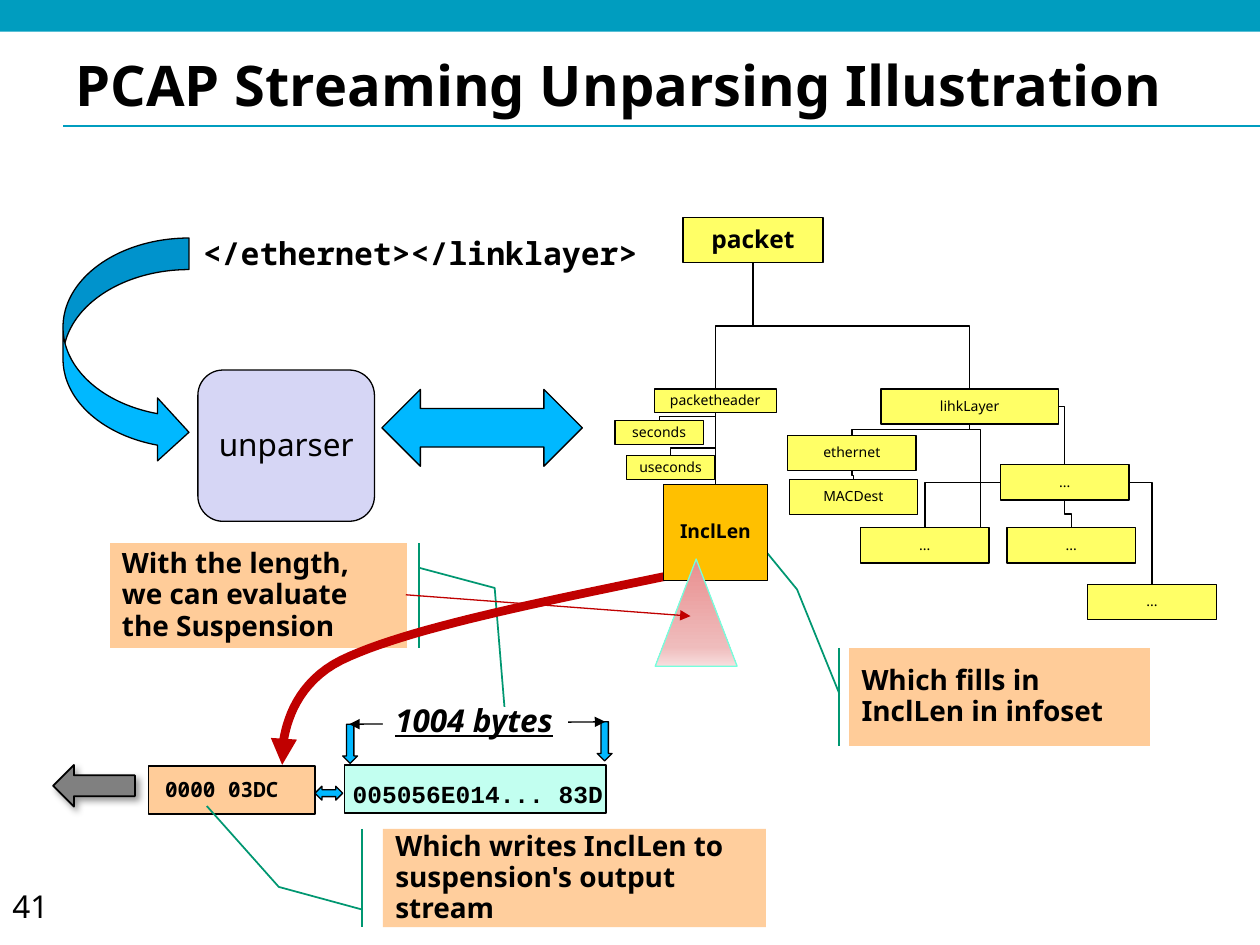
import copy

import pptx
import pptx.dml.color
import pptx.enum.shapes
import pptx.enum.text
import pptx.oxml.ns
import pptx.util
from lxml import etree

Cm = pptx.util.Cm
Pt = pptx.util.Pt
RGBColor = pptx.dml.color.RGBColor
MSO = pptx.enum.shapes.MSO_SHAPE
LINK = pptx.enum.shapes.MSO_CONNECTOR
ANCHOR = pptx.enum.text.MSO_ANCHOR
ALIGN = pptx.enum.text.PP_ALIGN
qn = pptx.oxml.ns.qn

TEAL = RGBColor(0x00, 0x9D, 0xBF)
BLACK = RGBColor(0, 0, 0)
WHITE = RGBColor(0xFF, 0xFF, 0xFF)
PEACH = RGBColor(0xFF, 0xCC, 0x99)
GRAY = RGBColor(0x80, 0x80, 0x80)
BLUE = RGBColor(0x00, 0xB8, 0xFF)
MINT = RGBColor(0xC2, 0xFF, 0xF0)
GREEN = RGBColor(0x00, 0x97, 0x71)
RED = RGBColor(0xC0, 0, 0)
AMBER = RGBColor(0xFF, 0xC0, 0)
YELLOW = RGBColor(0xFF, 0xFF, 0x66)
LAVENDER = RGBColor(0xD6, 0xD6, 0xF5)
AQUA = RGBColor(0x75, 0xFF, 0xDD)
PINKS = [(0, RGBColor(0xE9, 0x8F, 0x8F)), (0.82, RGBColor(0xEF, 0xBC, 0xBC)),
         (1, RGBColor(0xF7, 0xDE, 0xDE))]


def add_shape(s, kind, x, y, w, h, fill=None, line=BLACK, width=0.75):
    sp = s.shapes.add_shape(kind, Cm(x), Cm(y), Cm(w), Cm(h))
    sp.shadow.inherit = False
    if fill is not None:
        sp.fill.solid()
        sp.fill.fore_color.rgb = fill
    if line is None:
        sp.line.fill.background()
    else:
        sp.line.color.rgb = line
        sp.line.width = Pt(width)
    return sp


def write(sp, text, size, font="Noto Sans", bold=True, align=ALIGN.LEFT,
          anchor=ANCHOR.MIDDLE, spacing=0.93, wrap=True):
    tf = sp.text_frame
    tf.word_wrap = wrap
    tf.vertical_anchor = anchor
    if align == ALIGN.CENTER:
        tf.margin_left = tf.margin_right = 0
    p = tf.paragraphs[0]
    p.text = text
    p.alignment = align
    p.line_spacing = spacing
    p.font.name = font
    p.font.size = Pt(size)
    p.font.bold = bold
    p.font.color.rgb = BLACK
    return p


def add_text(s, x, y, w, h, text, size, **style):
    sp = s.shapes.add_textbox(Cm(x), Cm(y), Cm(w), Cm(h))
    return write(sp, text, size, **{"anchor": ANCHOR.TOP, **style})


def add_arrowheads(line, *ends):
    ln = line.line._get_or_add_ln()
    for end in ends:
        etree.SubElement(ln, qn(f"a:{end}"), type="triangle")


def add_line(s, start, end, color=BLACK, kind=LINK.STRAIGHT, heads=()):
    c = s.shapes.add_connector(kind, *map(Cm, start + end))
    c.line.color.rgb = color
    c.line.width = Pt(0.75)
    add_arrowheads(c, *heads)
    etree.SubElement(c._element.spPr, qn("a:effectLst"))
    return c


def drop_line(s, start, end, bend=0.5):
    c = add_line(s, start, end, kind=LINK.ELBOW)
    (x1, y1), (x2, y2) = start, end
    w, h = y2 - y1, abs(x2 - x1)
    c.left, c.top = Cm((x1 + x2 - w) / 2), Cm((y1 + y2 - h) / 2)
    c.width, c.height = Cm(w), Cm(h)
    rightward = x2 > x1
    xfrm = c._element.spPr.find(qn("a:xfrm"))
    xfrm.set("rot", str((270 if rightward else 90) * 60000))
    xfrm.set("flipH", str(int(rightward)))
    guides = c._element.spPr.find(qn("a:prstGeom")).get_or_add_avLst()
    etree.SubElement(guides, qn("a:gd"), name="adj1", fmla=f"val {round(bend * 100000)}")


def corner_line(s, start, end):
    c = add_line(s, start, end, kind=LINK.ELBOW)
    c._element.spPr.find(qn("a:prstGeom")).set("prst", "bentConnector2")


def header(s, x, y, w):
    add_line(s, (x + 1.27, y + 2.54), (x + w, y + 2.54), TEAL)
    add_shape(s, MSO.RECTANGLE, x, y, w, 0.64, TEAL, None)
    add_text(s, x + 1.27, y + 0.97, 22.86, 1.55, "PCAP Streaming Unparsing Illustration",
             32, anchor=ANCHOR.MIDDLE, spacing=0.98)


def output_stream(s, x, y):
    add_shape(s, MSO.RECTANGLE, x + 1.93, y + 1.37, 3.35, 0.97, PEACH)
    sp = add_shape(s, MSO.RIGHT_ARROW, x, y + 1.35, 1.65, 0.84, GRAY, width=1)
    sp.rotation = 180
    shadow = etree.SubElement(sp._element.spPr.find(qn("a:effectLst")), qn("a:outerShdw"),
                              blurRad="50800", dist="38100", dir="2700000", rotWithShape="0")
    color = etree.SubElement(shadow, qn("a:srgbClr"), val="000000")
    etree.SubElement(color, qn("a:alpha"), val="40000")
    add_shape(s, MSO.RECTANGLE, x + 5.87, y + 1.35, 5.28, 0.97, MINT)
    add_shape(s, MSO.LEFT_RIGHT_ARROW, x + 5.28, y + 1.78, 0.56, 0.28, BLUE)
    add_text(s, x + 2.01, y + 1.5, 2.82, 0.74, "0000 03DC", 12, font="Noto Sans Mono")
    for dx, dy in ((5.84, 0.53), (10.97, 0.48)):
        add_shape(s, MSO.DOWN_ARROW, x + dx, y + dy, 0.3, 0.79, BLUE)
    add_line(s, (x + 5.97, y + 0.53), (x + 11.13, y + 0.48), heads=("headEnd", "tailEnd"))
    sp = add_shape(s, MSO.RECTANGLE, x + 6.65, y, 3.73, 0.97, WHITE, None)
    p = write(sp, "1004 bytes", 18, anchor=ANCHOR.TOP, wrap=False)
    p.font.italic = p.font.underline = True
    add_text(s, x + 5.79, y + 1.57, 6.3, 0.81, "005056E014... 83D", 14, font="Courier New")


def callout(s, x, y, w, h, text, adjustments, flip=False, alpha=None):
    sp = add_shape(s, MSO.LINE_CALLOUT_2_ACCENT_BAR, x, y, w, h, PEACH, GREEN, 1)
    for i, value in enumerate(adjustments):
        sp.adjustments[i] = value
    if flip:
        sp._element.spPr.find(qn("a:xfrm")).set("flipH", "1")
    if alpha:
        color = sp._element.spPr.find(qn("a:solidFill"))[0]
        etree.SubElement(color, qn("a:alpha"), val=str(alpha * 1000))
    write(sp, text, 16)


def suspension_curve(s, x, y):
    curves = [((7.92, 0), (5.21, 0.56), (2.51, 1.09), (1.19, 1.73)),
              ((1.19, 1.73), (-0.13, 2.39), (0, 3.84), (0, 3.84))]
    steps = 24
    points = []
    for curve in curves:
        for i in range(1, steps + 1):
            t = i / steps
            weights = ((1 - t) ** 3, 3 * t * (1 - t) ** 2, 3 * t * t * (1 - t), t ** 3)
            px, py = (sum(k * v for k, v in zip(weights, axis)) for axis in zip(*curve))
            points.append((Cm(x + px), Cm(y + py)))
    fb = s.shapes.build_freeform(Cm(x + 7.92), Cm(y))
    fb.add_line_segments(points, close=False)
    sp = fb.convert_to_shape()
    sp.shadow.inherit = False
    sp.fill.background()
    sp.line.color.rgb = RED
    sp.line.width = Pt(5)
    add_arrowheads(sp, "tailEnd")


def infoset_tree(s, x, y):
    small = (2.59, 0.71)
    nodes = {
        "packet": ("packet", 1.37, 0, 2.82, 0.91),
        "header": ("packetheader", 0.79, 3.45, 2.46, 0.48),
        "seconds": ("seconds", 0, 4.09, 1.78, 0.48),
        "useconds": ("useconds", 0.23, 4.8, 1.78, 0.48),
        "length": ("InclLen", 0.97, 5.38, 2.11, 1.93),
        "link": ("lihkLayer", 5.36, 3.45, 3.58, 0.71),
        "ethernet": ("ethernet", 3.48, 4.39, *small),
        "dest": ("MACDest", 3.51, 5.28, *small),
        "left": ("...", 4.95, 6.25, *small),
        "middle": ("...", 7.9, 6.25, *small),
        "right": ("...", 9.53, 7.39, *small),
        "upper": ("...", 7.77, 4.98, *small),
    }
    styles = {"packet": (YELLOW, 14, True), "length": (AMBER, 11, True)}
    for name, (text, dx, dy, w, h) in nodes.items():
        fill, size, bold = styles.get(name, (YELLOW, 8, False))
        sp = add_shape(s, MSO.RECTANGLE, x + dx, y + dy, w, h, fill)
        write(sp, text, size, bold=bold, align=ALIGN.CENTER)

    def at(name, across, down):
        _, dx, dy, w, h = nodes[name]
        return x + dx + w * across, y + dy + h * down

    for parent, child, bend in (("packet", "header", 0.5), ("packet", "link", 0.5),
                                ("header", "seconds", 0.5), ("header", "useconds", 0.82),
                                ("header", "length", 0.5), ("link", "ethernet", 0.5),
                                ("ethernet", "dest", 0.5), ("upper", "middle", 0.5)):
        drop_line(s, at(parent, 0.5, 1), at(child, 0.5, 0), bend)
    drop_line(s, at("link", 0.5, 1), at("left", 0.93, 0), 0.05)
    for parent, side, child in (("link", 1, "upper"), ("upper", 0, "left"), ("upper", 1, "right")):
        corner_line(s, at(parent, side, 0.5), at(child, 0.5, 0))

    sp = add_shape(s, MSO.ISOSCELES_TRIANGLE, x + 0.81, y + 6.88, 1.65, 2.16, line=AQUA)
    sp.fill.gradient()
    sp.fill.gradient_angle = 270
    stops = sp._element.spPr.find(".//" + qn("a:gsLst"))
    stops.append(copy.deepcopy(stops[0]))
    for stop, (position, color) in zip(sp.fill.gradient_stops, PINKS):
        stop.position = position
        stop.color.rgb = color


def unparser(s, x, y):
    add_shape(s, MSO.CURVED_RIGHT_ARROW, x, y + 0.13, 2.54, 4.55, BLUE)
    add_text(s, x + 2.57, y, 9.32, 0.97, "</ethernet></linklayer>", 18,
             font="Noto Sans Mono", wrap=False)
    sp = add_shape(s, MSO.ROUNDED_RECTANGLE, x + 2.72, y + 2.79, 3.56, 3.05, LAVENDER)
    write(sp, "unparser", 18, bold=False, align=ALIGN.CENTER)
    add_shape(s, MSO.LEFT_RIGHT_ARROW, x + 6.43, y + 3.18, 4.04, 1.55, BLUE)


def main():
    prs = pptx.Presentation()
    prs.slide_width, prs.slide_height = Cm(25.4), Cm(19.05)
    s = prs.slides.add_slide(prs.slide_layouts[6])
    header(s, 0, 0, 25.4)
    add_text(s, 0, 17.75, 1.55, 1.02, "41", 18, bold=False, spacing=1)
    output_stream(s, 1.07, 14.07)
    callout(s, 2.21, 10.95, 5.99, 2.11, "With the length, we can evaluate the Suspension",
            (0.236, 1.042, 0.428, 1.296, 1.564, 1.329))
    callout(s, 17.12, 13.06, 6.07, 1.98, "Which fills in InclLen in infoset",
            (0.465, 1.033, -0.594, 1.173, -1.658, 1.457), flip=True)
    suspension_curve(s, 5.69, 11.58)
    callout(s, 7.72, 16.71, 7.72, 1.98, "Which writes InclLen to suspension's output stream",
            (0.822, -0.054, 0.591, -0.272, -0.233, -0.46), alpha=96)
    infoset_tree(s, 12.4, 4.39)
    unparser(s, 1.27, 4.67)
    add_line(s, (8.18, 11.99), (13.92, 12.42), RED, heads=("tailEnd",))
    prs.save("out.pptx")


if __name__ == "__main__":
    main()
